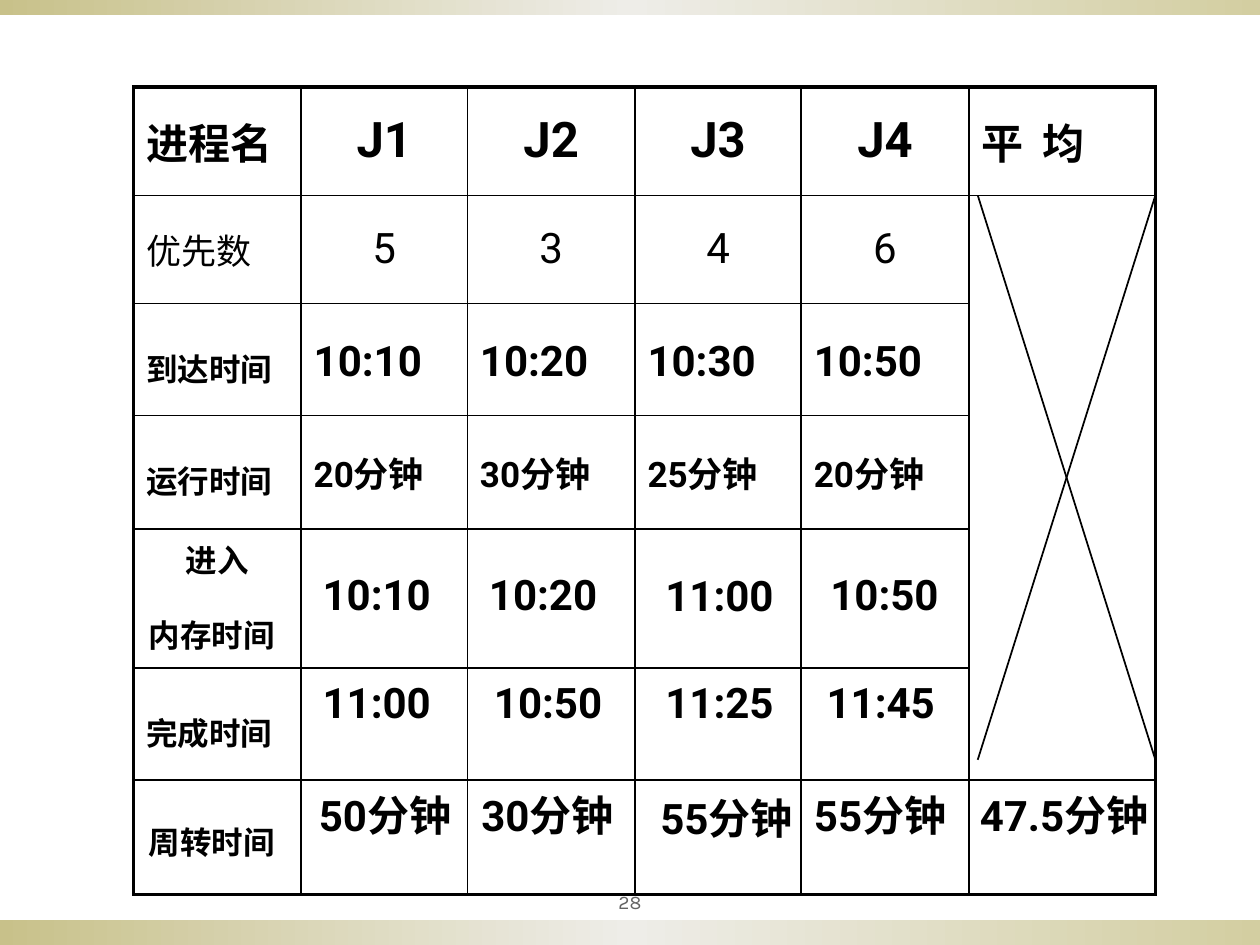
from dataclasses import dataclass
from itertools import groupby

from lxml import etree
from pptx import Presentation
from pptx.dml.color import RGBColor
from pptx.enum.shapes import MSO_CONNECTOR, MSO_SHAPE
from pptx.enum.text import MSO_ANCHOR, MSO_AUTO_SIZE, PP_ALIGN
from pptx.oxml.ns import qn
from pptx.util import Inches, Pt

RECTANGLE = MSO_SHAPE.RECTANGLE
STRAIGHT = MSO_CONNECTOR.STRAIGHT
MIDDLE = MSO_ANCHOR.MIDDLE
FIT_SHAPE = MSO_AUTO_SIZE.SHAPE_TO_FIT_TEXT
LEFT, CENTER = PP_ALIGN.LEFT, PP_ALIGN.CENTER


@dataclass(frozen=True)
class Theme:
    ink: str = "000000"
    muted: str = "636363"
    band: tuple = ((0, "C8C18A"), (50, "EEEDE8"), (100, "D3CEA1"))
    latin: str = "Roboto"
    chinese: str = "Noto Sans CJK SC"
    number_font: str = "Karla"
    heading: int = 28
    value: int = 24
    detail: int = 20
    label: int = 18
    page: int = 11
    thin: float = 1
    thick: float = 2.25


THEME = Theme()
TABLE_LEFT, TABLE_TOP = 1.06, 0.69
COLUMNS = [1.33, 1.32, 1.33, 1.32, 1.33, 1.48]
ROWS = [0.86, 0.86, 0.89, 0.9, 0.96, 0.89, 0.91]
LABELS = ["到达时间", "运行时间", "内存时间", "完成时间", "周转时间"]
JOBS = ["J1", "J2", "J3", "J4"]
PRIORITIES = ["5", "3", "4", "6"]
ARRIVALS = ["10:10", "10:20", "10:30", "10:50"]
RUN_TIMES = ["20分钟", "30分钟", "25分钟", "20分钟"]
# Left, top and text of each time laid over the lower rows
CLOCK_TIMES = [
    (2.4, 4.46, "10:10"), (3.72, 4.46, "10:20"), (5.12, 4.47, "11:00"), (6.43, 4.46, "10:50"),
    (2.4, 5.32, "11:00"), (3.76, 5.32, "10:50"), (5.12, 5.32, "11:25"), (6.4, 5.32, "11:45"),
]
TURNAROUNDS = [(2.4, 6.22, "50分钟"), (3.69, 6.22, "30分钟"), (5.11, 6.24, "55分钟"), (6.33, 6.22, "55分钟")]


def add_run(paragraph, text, size, bold):
    """Add text, switching between the Latin and the Chinese font."""
    for is_latin, characters in groupby(text, str.isascii):
        run = paragraph.add_run()
        run.text = "".join(characters)
        font = run.font
        font.size, font.bold = Pt(size), bold
        font.color.rgb = RGBColor.from_string(THEME.ink)
        font.name = THEME.latin if is_latin else THEME.chinese
        if not is_latin:
            east_asian = etree.SubElement(run._r.get_or_add_rPr(), qn("a:ea"))
            east_asian.set("typeface", THEME.chinese)


def write_paragraph(paragraph, text, size, align=LEFT, bold=True, spacer=False):
    """Write a paragraph; spacer ends it with a heading-sized space."""
    add_run(paragraph, text, size, bold)
    if spacer:
        add_run(paragraph, " ", THEME.heading, bold)
    paragraph.alignment = align
    paragraph.space_before = Pt(round(0.2 * (THEME.heading if spacer else size), 1))


def write_cell(cell, *text_and_size, **options):
    write_paragraph(cell.text_frame.paragraphs[0], *text_and_size, **options)


def add_band(slide, top, height):
    shape = slide.shapes.add_shape(RECTANGLE, 0, Inches(top), Inches(10), Inches(height))
    shape.shadow.inherit = False
    shape.line.fill.background()
    shape.fill.gradient()
    shape.fill.gradient_angle = 0
    stops = shape._element.spPr.find(qn("a:gradFill")).find(qn("a:gsLst"))
    for stop in list(stops):
        stops.remove(stop)
    for position, color in THEME.band:
        stop = etree.SubElement(stops, qn("a:gs"), pos=str(position * 1000))
        etree.SubElement(stop, qn("a:srgbClr"), val=color)


def add_border(cell, side, width):
    line = etree.SubElement(cell._tc.get_or_add_tcPr(), qn(f"a:ln{side}"), w=str(Pt(width)))
    fill = etree.SubElement(line, qn("a:solidFill"))
    etree.SubElement(fill, qn("a:srgbClr"), val=THEME.ink)


def format_cell(cell, row, column):
    """Clear the fill and draw thick outer and thin inner borders."""
    outer = {"L": column == 0, "R": column == len(COLUMNS) - 1,
             "T": row == 0, "B": row == len(ROWS) - 1}
    for side in "LR" if cell.is_spanned else "LRTB":
        add_border(cell, side, THEME.thick if outer[side] else THEME.thin)
    cell.fill.background()
    cell.vertical_anchor = MIDDLE


def fill_table(table):
    write_cell(table.cell(0, 0), "进程名", THEME.value)
    write_cell(table.cell(0, 5), "平  均", THEME.value)
    write_cell(table.cell(1, 0), "优先数", THEME.detail, bold=False)
    for column, (job, priority, arrival, run_time) in enumerate(
            zip(JOBS, PRIORITIES, ARRIVALS, RUN_TIMES), start=1):
        write_cell(table.cell(0, column), job, THEME.heading, align=CENTER)
        write_cell(table.cell(1, column), priority, THEME.value, align=CENTER, bold=False)
        write_cell(table.cell(2, column), arrival, THEME.value, spacer=True)
        write_cell(table.cell(3, column), run_time, THEME.detail)

    write_cell(table.cell(4, 0), "进入", THEME.label, align=CENTER)
    for row, label in enumerate(LABELS, start=2):
        text_frame = table.cell(row, 0).text_frame
        paragraph = text_frame.add_paragraph() if row == 4 else text_frame.paragraphs[0]
        write_paragraph(paragraph, label, THEME.label, CENTER if row in (4, 6) else LEFT, spacer=True)
    turnaround_label = table.cell(6, 0).text_frame.paragraphs[0]
    turnaround_label.space_before = Pt(0)
    turnaround_label.line_spacing = 0.8


def add_schedule_table(slide):
    frame = slide.shapes.add_table(len(ROWS), len(COLUMNS), Inches(TABLE_LEFT), Inches(TABLE_TOP),
                                   Inches(sum(COLUMNS)), Inches(sum(ROWS)))
    table = frame.table
    table.first_row = table.horz_banding = False
    for column, width in zip(table.columns, COLUMNS):
        column.width = Inches(width)
    for row, height in zip(table.rows, ROWS):
        row.height = Inches(height)
    table.cell(1, 5).merge(table.cell(5, 5))
    for row in range(len(ROWS)):
        for column in range(len(COLUMNS)):
            format_cell(table.cell(row, column), row, column)
    fill_table(table)


def add_line(slide, *ends):
    connector = slide.shapes.add_connector(STRAIGHT, *(Inches(value) for value in ends))
    connector.line.color.rgb = RGBColor.from_string(THEME.ink)
    connector.line.width = Pt(THEME.thin)
    etree.SubElement(connector._element.spPr, qn("a:effectLst"))


def add_time(slide, left, top, text, width, wrap=False):
    box = slide.shapes.add_textbox(Inches(left), Inches(top), Inches(width), Inches(0.5))
    text_frame = box.text_frame
    text_frame.word_wrap = wrap
    text_frame.auto_size = FIT_SHAPE
    if wrap:
        text_frame.margin_left = text_frame.margin_right = Inches(0.13)
    write_paragraph(text_frame.paragraphs[0], text, THEME.value, CENTER)


def add_page_number(slide, number):
    box = slide.shapes.add_textbox(Inches(4.5), Inches(7), Inches(1), Inches(0.31))
    text_frame = box.text_frame
    text_frame.word_wrap = True
    text_frame.vertical_anchor = MIDDLE
    text_frame.margin_left = text_frame.margin_right = Inches(0.05)
    text_frame.text = number
    paragraph = text_frame.paragraphs[0]
    paragraph.alignment = CENTER
    font = paragraph.runs[0].font
    font.name, font.size = THEME.number_font, Pt(THEME.page)
    font.color.rgb = RGBColor.from_string(THEME.muted)


def main():
    presentation = Presentation()
    presentation.slide_width, presentation.slide_height = Inches(10), Inches(7.5)
    slide = presentation.slides.add_slide(presentation.slide_layouts[6])
    add_band(slide, 7.3, 0.2)
    add_band(slide, 0, 0.12)
    add_schedule_table(slide)
    add_page_number(slide, "28")
    add_line(slide, 7.76, 1.55, 9.17, 6.03)
    add_line(slide, 9.17, 1.55, 7.76, 6.03)
    for clock_time in CLOCK_TIMES:
        add_time(slide, *clock_time, width=1.18)
    for turnaround in TURNAROUNDS:
        add_time(slide, *turnaround, width=1.31, wrap=True)
    add_time(slide, 7.63, 6.22, "47.5分钟", width=1.63)
    presentation.save("out.pptx")


if __name__ == "__main__":
    main()
